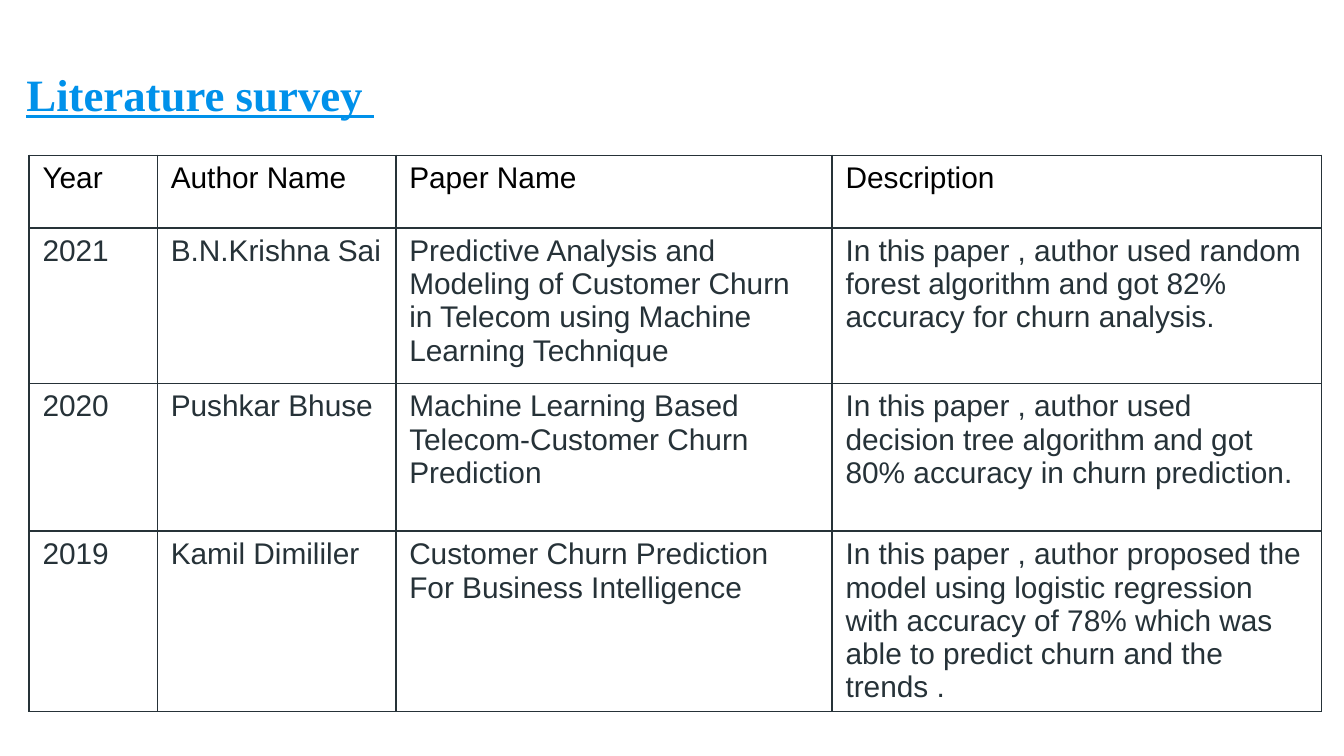
from lxml.etree import SubElement
from pptx import Presentation
from pptx.dml.color import RGBColor
from pptx.enum.text import MSO_ANCHOR, MSO_AUTO_SIZE, PP_ALIGN
from pptx.oxml.ns import qn
from pptx.util import Pt

COLORS = {"title": "0091EA", "header": "000000", "body": "263238",
          "border": "263238", "cell": "FFFFFF"}
COLUMN_WIDTHS = [68.75, 127.75, 233.75, 262.25]
ROW_HEIGHTS = [39, 83.25, 79.25, 96.5]
PAPERS = [
    ["Year", "Author Name", "Paper Name", "Description"],
    ["2021", "B.N.Krishna Sai",
     "Predictive Analysis and Modeling of Customer Churn in Telecom "
     "using Machine Learning Technique",
     "In this paper , author used random forest algorithm and got 82% "
     "accuracy for churn analysis."],
    ["2020", "Pushkar Bhuse",
     "Machine Learning Based Telecom-Customer Churn Prediction",
     "In this paper , author used decision tree algorithm and got 80% "
     "accuracy in churn prediction."],
    ["2019", "Kamil Dimililer",
     "Customer Churn Prediction For Business Intelligence",
     "In this paper , author proposed the model using logistic regression "
     "with accuracy of 78% which was able to predict churn and the trends ."],
]


def add_run(p, text, font, size, color):
    r = p.add_run()
    r.text = text
    r.font.name = font
    r.font.size = Pt(size)
    r.font.color.rgb = RGBColor.from_string(COLORS[color])
    return r


def add_borders(cell):
    tc_pr = cell._tc.get_or_add_tcPr()
    for side in ("lnL", "lnR", "lnT", "lnB"):
        ln = SubElement(tc_pr, qn(f"a:{side}"), w=str(Pt(1)))
        fill = SubElement(ln, qn("a:solidFill"))
        SubElement(fill, qn("a:srgbClr"), val=COLORS["border"])


prs = Presentation()
prs.slide_width, prs.slide_height = Pt(720), Pt(405)
s = prs.slides.add_slide(prs.slide_layouts[5])

title = s.shapes.title
title.left, title.top, title.width, title.height = Pt(-64), Pt(28), Pt(342.5), Pt(44)
# Rounded corners for the title box
geometry = SubElement(title._element.spPr, qn("a:prstGeom"), prst="roundRect")
adjustments = SubElement(geometry, qn("a:avLst"))
SubElement(adjustments, qn("a:gd"), name="adj", fmla="val 14100")

tf = title.text_frame
tf.word_wrap = True
tf.auto_size = MSO_AUTO_SIZE.NONE
tf.vertical_anchor = MSO_ANCHOR.MIDDLE
tf.margin_left = tf.margin_right = tf.margin_top = tf.margin_bottom = Pt(7.2)
p = tf.paragraphs[0]
p.alignment = PP_ALIGN.CENTER
r = add_run(p, "Literature survey ", "Times New Roman", 24, "title")
r.font.bold = r.font.underline = True

table = s.shapes.add_table(len(PAPERS), len(COLUMN_WIDTHS), Pt(15.6), Pt(83.2),
                           Pt(sum(COLUMN_WIDTHS)), Pt(sum(ROW_HEIGHTS))).table
table.first_row = table.horz_banding = False
for column, width in zip(table.columns, COLUMN_WIDTHS):
    column.width = Pt(width)
for row, height in zip(table.rows, ROW_HEIGHTS):
    row.height = Pt(height)

for i, paper in enumerate(PAPERS):
    for j, text in enumerate(paper):
        cell = table.cell(i, j)
        add_borders(cell)
        cell.fill.solid()
        cell.fill.fore_color.rgb = RGBColor.from_string(COLORS["cell"])
        add_run(cell.text_frame.paragraphs[0], text, "Arial", 16,
                "body" if i else "header")

prs.save("out.pptx")
